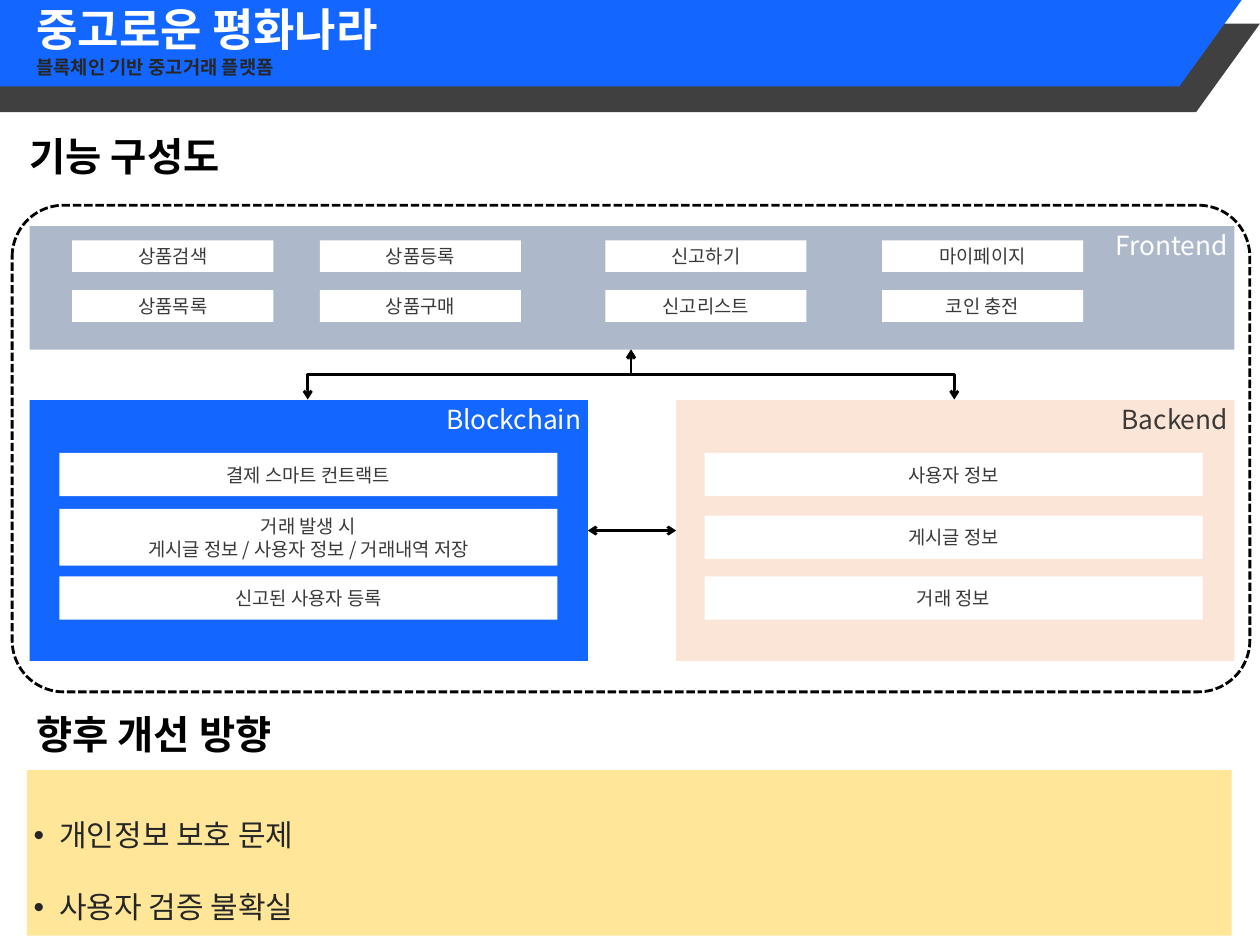
import pptx
import pptx.util
import pptx.dml.color
import pptx.enum.dml
import pptx.enum.shapes
import pptx.enum.text
import pptx.oxml
import pptx.oxml.ns
from lxml import etree

Inches, Pt = pptx.util.Inches, pptx.util.Pt
RGBColor = pptx.dml.color.RGBColor
Kind = pptx.enum.shapes.MSO_SHAPE
Link = pptx.enum.shapes.MSO_CONNECTOR
Align = pptx.enum.text.PP_ALIGN
Anchor = pptx.enum.text.MSO_ANCHOR
Auto = pptx.enum.text.MSO_AUTO_SIZE
Dash = pptx.enum.dml.MSO_LINE
qn = pptx.oxml.ns.qn

FONT = "Noto Sans CJK KR"
BLACK = RGBColor(0x00, 0x00, 0x00)
WHITE = RGBColor(0xFF, 0xFF, 0xFF)
BLUE = RGBColor(0x13, 0x66, 0xFF)
DARK = RGBColor(0x40, 0x40, 0x40)
INK = RGBColor(0x26, 0x26, 0x26)
GREY = RGBColor(0x3B, 0x38, 0x38)
SLATE = RGBColor(0xAD, 0xB9, 0xCA)
PEACH = RGBColor(0xFB, 0xE5, 0xD6)
CREAM = RGBColor(0xFF, 0xE6, 0x99)

# Content
TITLE = ("중고로운 평화나라", "블록체인 기반 중고거래 플랫폼")
HEADS = [("기능 구성도", (0.34, 1.91, 3.32, 0.81)),
         ("향후 개선 방향", (0.44, 10.47, 4.48, 0.81))]
PLANS = ["개인정보 보호 문제", "사용자 검증 불확실"]
PANELS = [("Frontend", (0.44, 3.35, 17.85, 1.83), SLATE, WHITE),
          ("Blockchain", (0.44, 5.93, 8.27, 3.86), BLUE, WHITE),
          ("Backend", (10.02, 5.93, 8.27, 3.86), PEACH, GREY)]
# Frontend columns: (left, top), upper and lower label
MENUS = [(1.07, "상품검색", "상품목록"), (4.74, "상품등록", "상품구매"),
         (8.97, "신고하기", "신고리스트"), (13.07, "마이페이지", "코인 충전")]
# Stacks: left, then (top, height, lines)
STACKS = [(0.88, [(6.71, 0.64, ["결제 스마트 컨트랙트"]),
                  (7.54, 0.84, ["거래 발생 시",
                                "게시글 정보 / 사용자 정보 / 거래내역 저장"]),
                  (8.54, 0.64, ["신고된 사용자 등록"])]),
          (10.44, [(6.71, 0.64, ["사용자 정보"]),
                   (7.64, 0.64, ["게시글 정보"]),
                   (8.54, 0.64, ["거래 정보"])])]

deck = pptx.Presentation()
deck.slide_width, deck.slide_height = Inches(18.67), Inches(14)
slide = deck.slides.add_slide(deck.slide_layouts[6])
parts = slide.shapes


def shape(kind, box, fill, adj=None):
    item = parts.add_shape(kind, *map(Inches, box))
    item.shadow.inherit = False
    item.fill.solid()
    item.fill.fore_color.rgb = fill
    item.line.fill.background()
    if adj is not None:
        item.adjustments[0] = adj
    return item


def write(item, lines, color, size, align=Align.LEFT, anchor=Anchor.MIDDLE,
          bold=False):
    frame = item.text_frame
    frame.word_wrap = True
    frame.vertical_anchor = anchor
    for i, line in enumerate(lines):
        para = frame.add_paragraph() if i else frame.paragraphs[0]
        para.alignment = align
        run = para.add_run()
        run.text = line
        for key, value in {"name": FONT, "size": Pt(size), "bold": bold}.items():
            setattr(run.font, key, value)
        run.font.color.rgb = color
        east = etree.SubElement(run.font._element, qn("a:ea"))
        east.set("typeface", FONT)
    return frame


def label(box, lines, color, size, **style):
    item = parts.add_textbox(*map(Inches, box))
    frame = write(item, lines, color, size, **style)
    frame.auto_size = Auto.SHAPE_TO_FIT_TEXT
    return frame


def arrow(kind, start, end):
    wire = parts.add_connector(kind, *map(Inches, start + end))
    wire.line.color.rgb = BLACK
    wire.line.width = Pt(3)
    line = wire.line._get_or_add_ln()
    for tag in ("a:headEnd", "a:tailEnd"):
        etree.SubElement(line, qn(tag)).set("type", "arrow")
    etree.SubElement(wire._element.spPr, qn("a:effectLst"))
    return wire


def elbow(x, y, to, drop):
    """Drop, cross and drop again: a sideways elbow turned by 90 degrees."""
    span = abs(to - x)
    left = (x + to - drop) / 2
    top = y + (drop - span) / 2
    ends = [left, left + drop]
    turn = 90
    if to > x:
        ends.reverse()
        turn = 270
    wire = arrow(Link.ELBOW, (ends[0], top), (ends[1], top + span))
    wire._element.spPr.find(qn("a:xfrm")).set("rot", str(turn * 60000))


# Dashed frame
edge = shape(Kind.ROUNDED_RECTANGLE, (0.18, 3.04, 18.34, 7.21), WHITE, 0.106)
edge.line.color.rgb = BLACK
edge.line.width = Pt(3)
edge.line.dash_style = Dash.SQUARE_DOT

# Title band
for left, top, fill in ((-0.75, 0.35, DARK), (-1, -0.03, BLUE)):
    shape(Kind.PARALLELOGRAM, (left, top, 19.42, 1.31), fill, 0.722)
frame = label((0.44, -0.03, 15.18, 1.25), TITLE, WHITE, 48, bold=True)
sub = frame.paragraphs[1].runs[0].font
sub.size = Pt(20)
sub.color.rgb = INK

# Section headings
for text, box in HEADS:
    label(box, [text], BLACK, 42, anchor=Anchor.TOP, bold=True)

# Plans for improvement
plan = shape(Kind.RECTANGLE, (0.4, 11.41, 17.85, 2.45), CREAM)
for para in write(plan, PLANS, INK, 32).paragraphs:
    para.line_spacing = 2.0
    props = para._p.get_or_add_pPr()
    props.set("marL", str(Inches(0.38)))
    props.set("indent", str(-Inches(0.38)))
    etree.SubElement(props, qn("a:buFont")).set("typeface", "Arial")
    etree.SubElement(props, qn("a:buChar")).set("char", "•")

# Panels with a name in the top right corner
boxes = []
for name, box, fill, color in PANELS:
    boxes.append(shape(Kind.RECTANGLE, box, fill))
    left, top, width, _ = box
    label((left + width - 3.04, top, 3.04, 0.57), [name], color, 28,
          align=Align.RIGHT, anchor=Anchor.TOP)

# Arrows between panels
for to in (4.56, 14.14):
    elbow(9.35, 5.18, to, 0.74)
link = arrow(Link.STRAIGHT, (8.71, 7.86), (10.02, 7.86))
link.begin_connect(boxes[1], 3)
link.end_connect(boxes[2], 1)

# White cards
cards = [(left, 3.56 + 0.74 * row, 2.98, 0.47, [text])
         for left, *names in MENUS for row, text in enumerate(names)]
cards += [(left, top, 7.38, height, lines)
          for left, stack in STACKS for top, height, lines in stack]
for *box, lines in cards:
    card = shape(Kind.RECTANGLE, box, WHITE)
    write(card, lines, GREY, 20, align=Align.CENTER)

deck.save("out.pptx")
